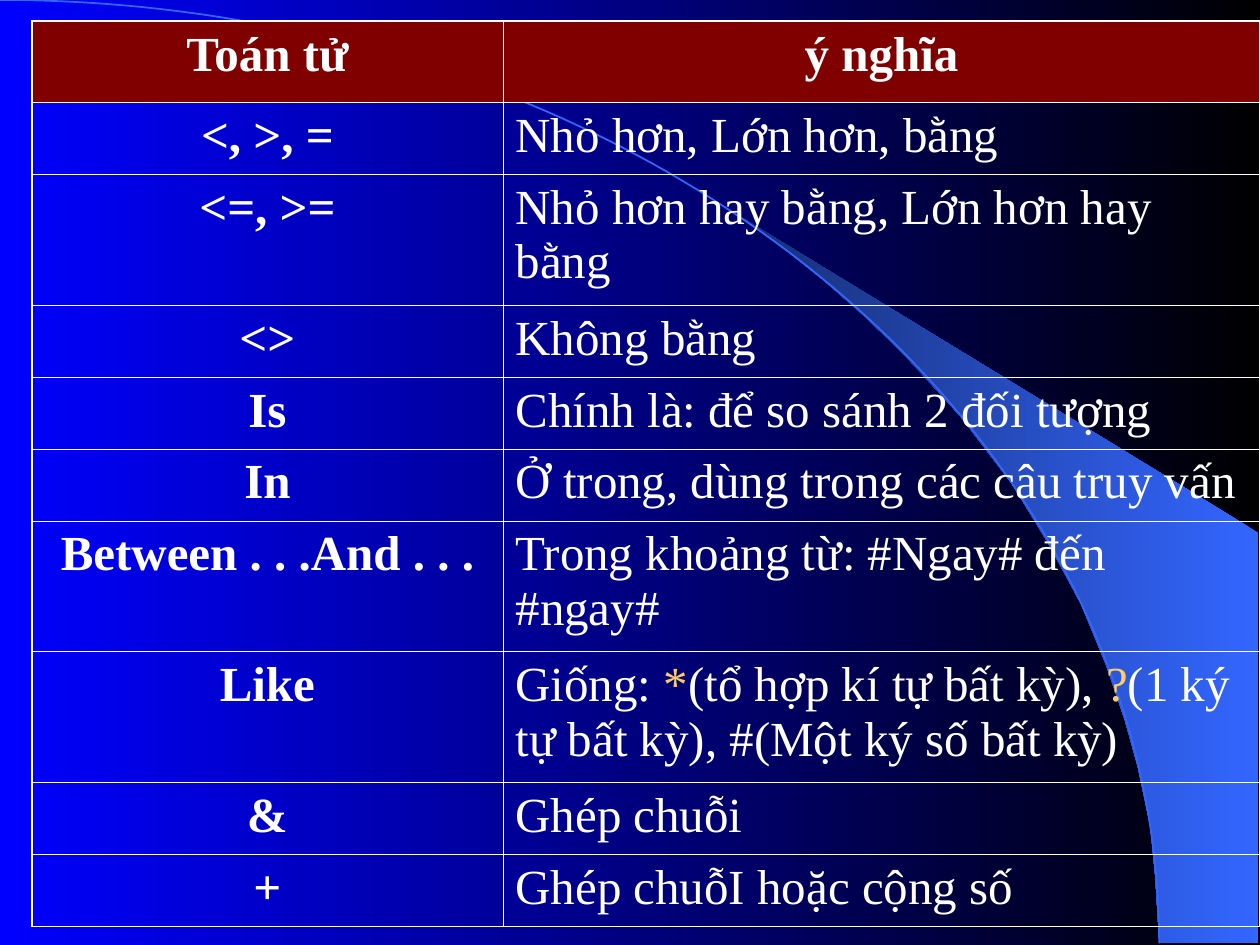
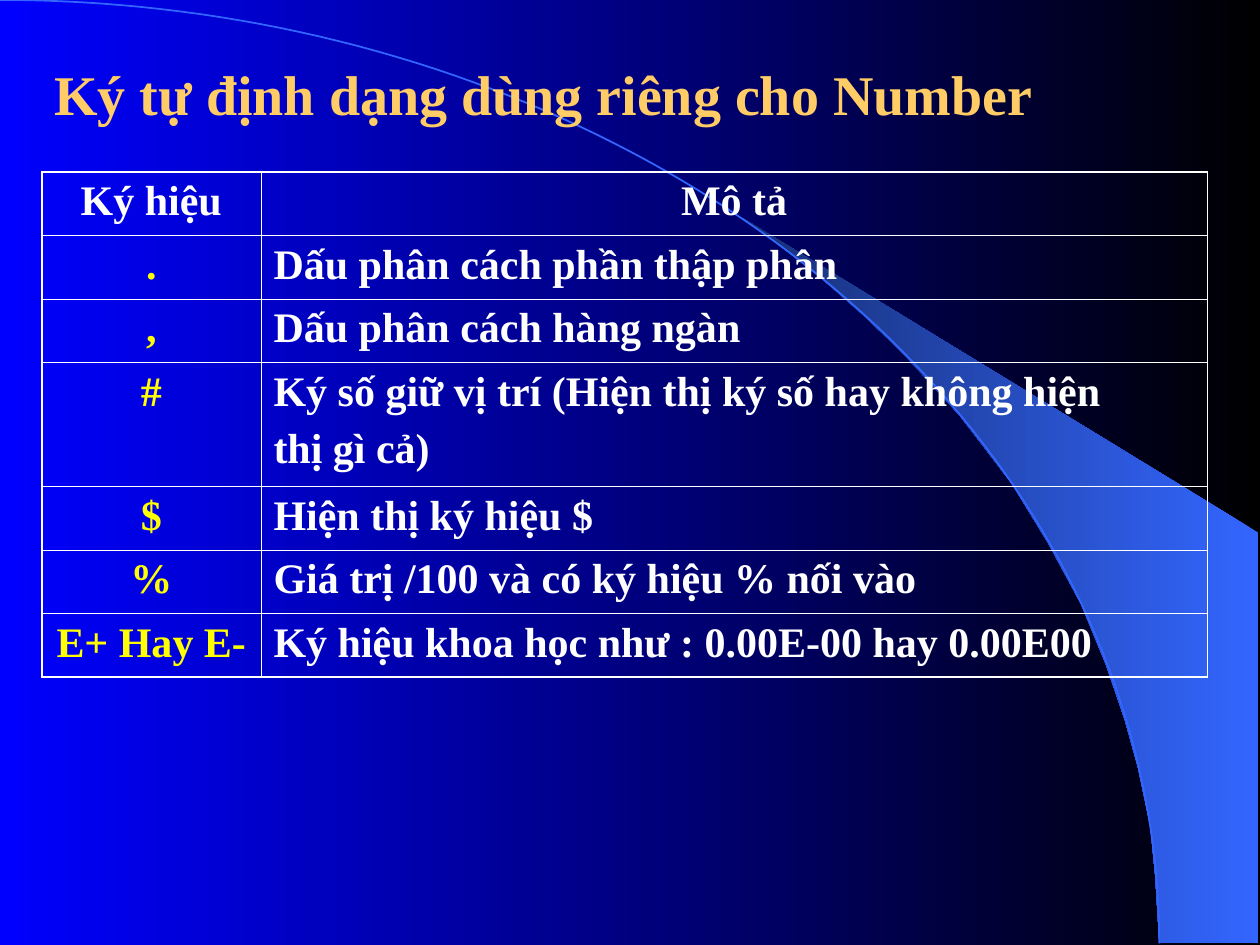
import math
from dataclasses import dataclass

import pptx
import pptx.dml.color
import pptx.enum.text
import pptx.oxml
import pptx.oxml.ns
import pptx.util
from pptx.util import Cm, Pt

ALIGN = pptx.enum.text.PP_ALIGN


@dataclass(frozen=True)
class Theme:
    font: str = "Times New Roman"
    white: str = "FFFFFF"
    gold: str = "FFCC66"
    yellow: str = "FFFF00"
    header: str = "800000"
    back: tuple = ("000000", "0000FF")
    beam: tuple = ("3366FF", "172F75")
    arc: str = "3366FF"
    title_size: int = 32
    outer_line: float = 1.08
    inner_line: float = 0.45


T = Theme()

# A cell is a string, with "\n" between paragraphs, or a list of (text, colour) runs.
OPERATORS = dict(
    left=0.64, top=0.43, widths=(9.5, 15.26), size=28, space=7,
    header_fill=T.header, key_color=T.white, bold_body=False,
    heights=(1.63, 1.45, 2.64, 1.45, 1.45, 1.45, 2.64, 2.64, 1.45, 1.45),
    rows=[
        ("Toán tử", "ý nghĩa"),
        ("<, >, =", "Nhỏ hơn, Lớn hơn, bằng"),
        ("<=, >=", "Nhỏ hơn hay bằng, Lớn hơn hay bằng"),
        ("<>", "Không bằng"),
        ("Is", "Chính là: để so sánh 2 đối tượng"),
        ("In", "Ở trong, dùng trong các câu truy vấn"),
        ("Between . . .And . . .", "Trong khoảng từ: #Ngay# đến #ngay#"),
        ("Like", [("Giống: ", T.white), ("*", T.gold),
                  ("(tổ hợp kí tự bất kỳ), ", T.white), ("?", T.gold),
                  ("(1 ký tự bất kỳ), #(Một ký số bất kỳ)", T.white)]),
        ("&", "Ghép chuỗi"),
        ("+", "Ghép chuỗI hoặc cộng số"),
    ],
)

NUMBER_TITLE = "Ký tự định dạng dùng riêng cho Number"
NUMBER_FORMATS = dict(
    left=0.84, top=3.47, widths=(4.42, 19.08), size=24, space=6,
    header_fill=None, key_color=T.yellow, bold_body=True,
    heights=(1.28, 1.28, 1.28, 2.5, 1.28, 1.28, 1.28),
    rows=[
        ("Ký hiệu", "Mô tả"),
        (".", "Dấu phân cách phần thập phân"),
        (",", "Dấu phân cách hàng ngàn"),
        ("#", "Ký số giữ vị trí (Hiện thị ký số hay không hiện\nthị gì cả)"),
        ("$", "Hiện thị ký hiệu $"),
        ("%", "Giá trị /100 và có ký hiệu % nối vào"),
        ("E+ Hay E-", "Ký hiệu khoa học như : 0.00E-00 hay 0.00E00"),
    ],
)

ARC_WIDTH, ARC_HEIGHT = 23.37, 19.02
BEAM = [
    (23.37, 19.0), (25.37, 19.02), (25.37, 10.74), (14.96, 4.39), (15.85, 5.05),
    (16.59, 5.64), (17.4, 6.35), (18.19, 7.11), (19.35, 8.38), (20.4, 9.75),
    (21.13, 10.95), (21.79, 12.17), (22.3, 13.41), (22.68, 14.53),
    (22.94, 15.47), (23.19, 16.66), (23.29, 17.68),
]


def rgb(color):
    return pptx.dml.color.RGBColor.from_string(color)


def set_gradient(fill, colors):
    fill.gradient()
    fill.gradient_angle = 180
    for stop, color in zip(fill.gradient_stops, colors):
        stop.color.rgb = rgb(color)


def write(tf, content, *, size, color=T.white, bold=True, align=ALIGN.LEFT, space=0):
    if isinstance(content, str):
        paragraphs = [[(line, color)] for line in content.split("\n")]
    else:
        paragraphs = [content]
    for i, runs in enumerate(paragraphs):
        p = tf.add_paragraph() if i else tf.paragraphs[0]
        p.alignment, p.space_before = align, Pt(space)
        for text, run_color in runs:
            r = p.add_run()
            r.text = text
            r.font.name, r.font.size, r.font.bold = T.font, Pt(size), bold
            r.font.color.rgb = rgb(run_color)


def add_outline(s, points, close):
    points = [(Cm(x), Cm(y)) for x, y in points]
    builder = s.shapes.build_freeform(*points[0])
    builder.add_line_segments(points[1:], close=close)
    sp = builder.convert_to_shape()
    sp.shadow.inherit = False
    return sp


def decorate_master(prs, s):
    """Draw the beam and arc on s, then move them to the master."""
    set_gradient(prs.slide_master.background.fill, T.back)
    beam = add_outline(s, BEAM, True)
    set_gradient(beam.fill, T.beam)
    beam.line.fill.background()

    steps = 90
    angles = [math.pi / 2 * i / steps for i in range(steps + 1)]
    arc = add_outline(s, [(ARC_WIDTH * math.sin(a), ARC_HEIGHT * (1 - math.cos(a)))
                          for a in angles], False)
    arc.fill.background()
    arc.line.color.rgb = rgb(T.arc)
    arc.line.width = Pt(1)
    for sp in (beam, arc):
        prs.slide_master.shapes.element.append(sp.element)


def set_borders(cell, outer_sides):
    tc_pr = cell._tc.get_or_add_tcPr()
    for i, side in enumerate("LRTB"):
        width = Pt(T.outer_line if side in outer_sides else T.inner_line)
        tc_pr.insert(i, pptx.oxml.parse_xml(
            f'<a:ln{side} {pptx.oxml.ns.nsdecls("a")} w="{width}"><a:solidFill>'
            f'<a:srgbClr val="{T.white}"/></a:solidFill></a:ln{side}>'))


def add_grid(s, d):
    rows, widths, heights = d["rows"], d["widths"], d["heights"]
    table = s.shapes.add_table(len(rows), len(widths), Cm(d["left"]), Cm(d["top"]),
                               Cm(sum(widths)), Cm(sum(heights))).table
    table.first_row = table.horz_banding = False
    for column, width in zip(table.columns, widths):
        column.width = Cm(width)
    for i, row in enumerate(rows):
        table.rows[i].height = Cm(heights[i])
        for j, content in enumerate(row):
            cell = table.cell(i, j)
            is_header, is_key = i == 0, j == 0
            if is_header and d["header_fill"]:
                cell.fill.solid()
                cell.fill.fore_color.rgb = rgb(d["header_fill"])
            else:
                cell.fill.background()
            edges = {"L": is_key, "R": j == len(row) - 1,
                     "T": is_header, "B": i == len(rows) - 1}
            set_borders(cell, [side for side, is_outer in edges.items() if is_outer])
            write(cell.text_frame, content, size=d["size"], space=d["space"],
                  color=d["key_color"] if is_key and not is_header else T.white,
                  bold=is_header or is_key or d["bold_body"],
                  align=ALIGN.CENTER if is_header or is_key else ALIGN.LEFT)


def add_title(s, text):
    title = s.shapes.title
    title.left, title.top, title.width, title.height = Cm(0.84), Cm(1.07), Cm(22.23), Cm(1.63)
    tf = title.text_frame
    tf.word_wrap = True
    tf.auto_size = pptx.enum.text.MSO_AUTO_SIZE.NONE
    tf.vertical_anchor = pptx.enum.text.MSO_ANCHOR.TOP
    write(tf, text, size=T.title_size, color=T.gold, space=20)


def main():
    prs = pptx.Presentation()
    prs.slide_width, prs.slide_height = Cm(25.4), Cm(19.05)
    title_only, blank = prs.slide_layouts[5], prs.slide_layouts[6]

    s = prs.slides.add_slide(blank)
    decorate_master(prs, s)
    add_grid(s, OPERATORS)

    s = prs.slides.add_slide(title_only)
    add_grid(s, NUMBER_FORMATS)
    add_title(s, NUMBER_TITLE)

    prs.save("out.pptx")


if __name__ == "__main__":
    main()
